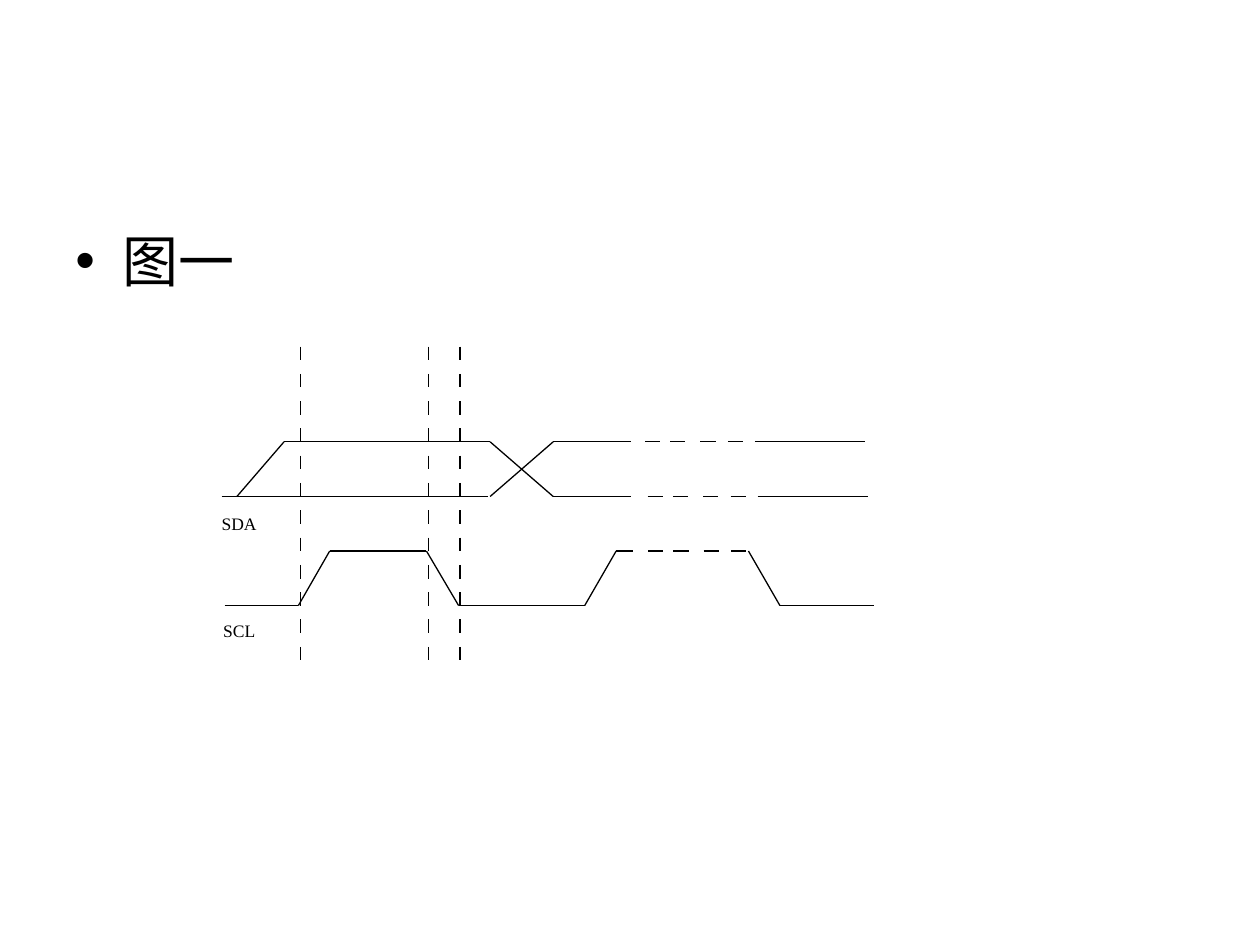
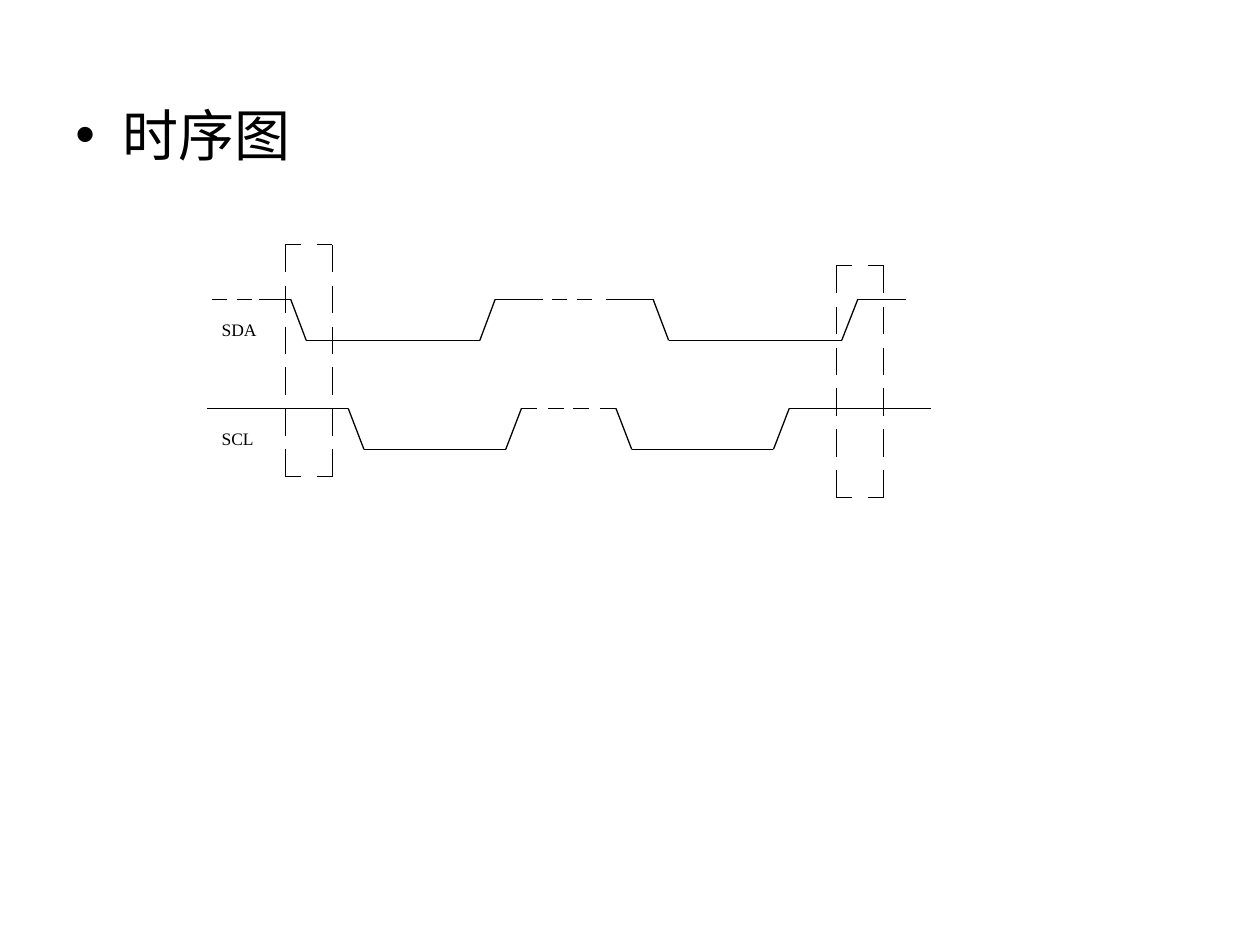
from itertools import pairwise

from lxml import etree
from pptx import Presentation
from pptx.dml.color import RGBColor
from pptx.enum import shapes, text
from pptx.oxml import ns
from pptx.util import Pt

COLORS = {"ink": "000000", "paper": "FFFFFF"}
INK = RGBColor.from_string(COLORS["ink"])
PAPER = RGBColor.from_string(COLORS["paper"])
LINE_WIDTH = Pt(0.75)
DASH = 8.7


def draw_path(group, *points):
    """Join successive points with straight lines."""
    for (x1, y1), (x2, y2) in pairwise(points):
        stroke = group.shapes.add_connector(
            shapes.MSO_CONNECTOR.STRAIGHT, Pt(x1), Pt(y1), Pt(x2), Pt(y2))
        stroke.line.color.rgb = INK
        stroke.line.width = LINE_WIDTH
        etree.SubElement(stroke._element.spPr, ns.qn("a:effectLst"))


def add_words(paragraph, words, font_name, size):
    run = paragraph.add_run()
    run.text = words
    run.font.name = font_name
    run.font.size = Pt(size)
    run.font.color.rgb = INK


prs = Presentation()
prs.slide_width, prs.slide_height = Pt(720), Pt(540)

# Headings, and signal labels as (name, left, top, width)
pages = [
    ("图一", 126, [("SDA", 126.7, 289.4, 36), ("SCL", 127.6, 350.6, 26.6)]),
    ("时序图", 54, [("SCL", 126.7, 241.2, 26.6), ("SDA", 126.7, 178.6, 26.6)]),
]
diagrams = []
for heading, top, labels in pages:
    slide = prs.slides.add_slide(prs.slide_layouts[6])
    slide.background.fill.solid()
    slide.background.fill.fore_color.rgb = PAPER

    # Bulleted heading
    body = slide.shapes.add_textbox(Pt(36), Pt(top), Pt(648), Pt(356.4)).text_frame
    body.word_wrap = True
    bullet_line = body.paragraphs[0]
    props = bullet_line._p.get_or_add_pPr()
    props.set("marL", str(Pt(27)))
    props.set("indent", str(Pt(-27)))
    bullet_color = etree.SubElement(props, ns.qn("a:buClr"))
    etree.SubElement(bullet_color, ns.qn("a:srgbClr"), val=COLORS["ink"])
    etree.SubElement(props, ns.qn("a:buFont"), typeface="Arial")
    etree.SubElement(props, ns.qn("a:buChar"), char="•")
    add_words(bullet_line, heading, "Arial", 32)

    # Signal labels
    diagram = slide.shapes.add_group_shape()
    diagrams.append(diagram)
    for signal, left, label_top, width in labels:
        label = diagram.shapes.add_shape(
            shapes.MSO_SHAPE.RECTANGLE, Pt(left), Pt(label_top), Pt(width), Pt(23))
        label.shadow.inherit = False
        label.fill.solid()
        label.fill.fore_color.rgb = PAPER
        label.line.color.rgb = PAPER
        label.line.width = LINE_WIDTH
        frame = label.text_frame
        frame.margin_left = frame.margin_right = 0
        frame.margin_top = frame.margin_bottom = Pt(3.6)
        frame.vertical_anchor = text.MSO_ANCHOR.TOP
        frame.paragraphs[0].alignment = text.PP_ALIGN.JUSTIFY
        add_words(frame.paragraphs[0], signal, "Times New Roman", 10)

bit_transfer, start_stop = diagrams

# Bit transfer: SDA levels and crossover
high, low = 252.5, 283.7
draw_path(bit_transfer, (126.7, low), (278.6, low))
draw_path(bit_transfer, (135.4, low), (162.3, high), (280.1, high),
          (316.1, low), (360.7, low))
draw_path(bit_transfer, (280.1, low), (316.1, high), (360.7, high))
draw_path(bit_transfer, (432.9, low), (496.1, low))
draw_path(bit_transfer, (431.3, high), (494.4, high))

# Bit transfer: SCL pulses
clock_high, clock_low = 314.9, 346.1
draw_path(bit_transfer, (128.3, clock_low), (170.5, clock_low),
          (188.4, clock_high), (243.7, clock_high), (262.1, clock_low),
          (334.1, clock_low), (352.1, clock_high), (361.7, clock_high))
draw_path(bit_transfer, (427.7, clock_high), (445.7, clock_low), (499.7, clock_low))

# Bit transfer: dashed continuations
for shift, level in ((0, low), (-1.5, high), (0.3, clock_high)):
    for x in (370.1, 384.5, 401.8, 417.5):
        draw_path(bit_transfer, (x + shift, level), (x + shift + DASH, level))

# Bit transfer: dashed time marks
for x in (171.9, 244.8, 262.8):
    for step in range(12):
        y = 198 + 15.6 * step
        draw_path(bit_transfer, (x, y), (x, y + 7.8))

# Start and stop: SDA
high, low = 171, 194.5
draw_path(start_stop, (148.3, high), (166.1, high), (175, low), (274.2, low),
          (283, high), (310.2, high))
draw_path(start_stop, (346.2, high), (373.2, high), (382.1, low), (481, low),
          (490.2, high), (517.7, high))

# Start and stop: SCL
clock_high, clock_low = 233.4, 256.8
draw_path(start_stop, (118.1, clock_high), (199, clock_high), (208, clock_low),
          (289, clock_low), (298, clock_high), (307, clock_high))
draw_path(start_stop, (343, clock_high), (352, clock_high), (361, clock_low),
          (442, clock_low), (451, clock_high), (532, clock_high))

# Start and stop: dashed continuations
for level, starts in ((high, (121.2, 135.2, 315.4, 329.6)),
                      (clock_high, (313.4, 327.7))):
    for x in starts:
        draw_path(start_stop, (x, level), (x + DASH, level))

# Dashed windows around the start and stop conditions
window_width, window_height = 27, 132.6
for left, top in ((163, 139.8), (478, 151.8)):
    for x in (left, left + window_width):
        for step in range(6):
            y = top + 23.4 * step
            draw_path(start_stop, (x, y), (x, y + 15.6))
    for y in (top, top + window_height):
        for x in (left, left + 18):
            draw_path(start_stop, (x, y), (x + 9, y))

prs.save("out.pptx")
